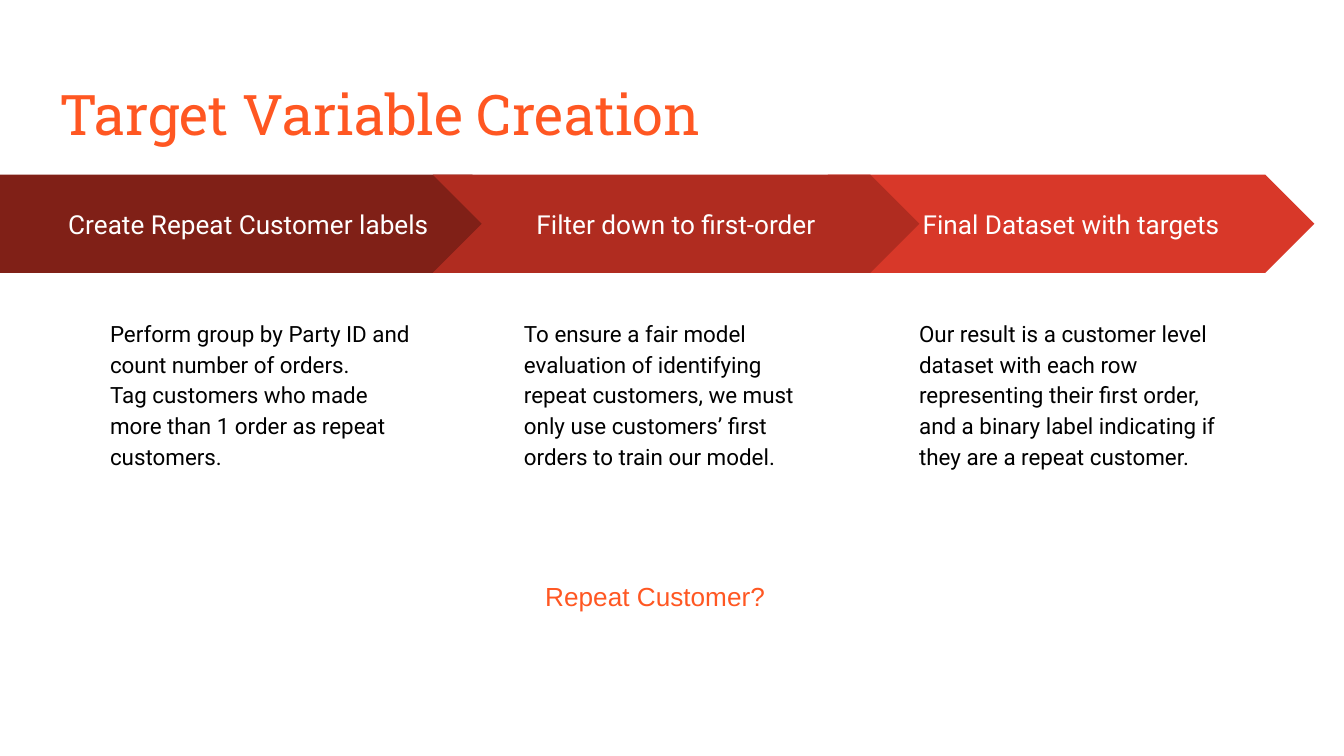
"""Build the slide on target variable creation as a three-step process."""
import dataclasses

import pptx
import pptx.dml.color
import pptx.enum.shapes
import pptx.enum.text
import pptx.util

Inches = pptx.util.Inches
SHAPE = pptx.enum.shapes.MSO_SHAPE
ALIGN = pptx.enum.text.PP_ALIGN
ANCHOR = pptx.enum.text.MSO_ANCHOR


@dataclasses.dataclass(frozen=True)
class Style:
    font: str
    size: int
    color: str


@dataclasses.dataclass(frozen=True)
class Theme:
    title: Style = Style("Roboto Slab", 30, "FF5722")
    step: Style = Style("Roboto", 14, "FFFFFF")
    body: Style = Style("Roboto", 12, "000000")
    question: Style = Style("Arial", 14, "FF5722")
    fills: tuple = ("802017", "B02C20", "D83829")


THEME = Theme()
STEP_TOP, STEP_WIDTH, STEP_HEIGHT = 1.3, 3.62, 0.73
BODY_TOP, BODY_WIDTH, BODY_HEIGHT = 2.25, 2.45, 2.86
SECOND_LEFT, STEP_PITCH, BODY_INDENT = 3.22, 2.94, 0.58
STEPS = (
    ("Create Repeat Customer labels",
     ("Perform group by Party ID and count number of orders.",
      "Tag customers who made more than 1 order as repeat customers.")),
    ("Filter down to first-order",
     ("To ensure a fair model evaluation of identifying repeat customers, "
      "we must only use customers’ first orders to train our model.",)),
    ("Final Dataset with targets",
     ("Our result is a customer level dataset with each row representing "
      "their first order, and a binary label indicating if they are a "
      "repeat customer.",)),
)


def rgb(value):
    return pptx.dml.color.RGBColor.from_string(value)


def write(tf, paragraphs, style, align=ALIGN.LEFT, anchor=ANCHOR.TOP,
          inset=0.1, spacing=None):
    tf.word_wrap = True
    tf.auto_size = pptx.enum.text.MSO_AUTO_SIZE.NONE
    tf.vertical_anchor = anchor
    tf.margin_left = tf.margin_right = Inches(0.1)
    tf.margin_top = tf.margin_bottom = Inches(inset)
    for i, text in enumerate(paragraphs):
        p = tf.add_paragraph() if i else tf.paragraphs[0]
        p.alignment = align
        if spacing:
            p.line_spacing = spacing
        r = p.add_run()
        r.text = text
        r.font.name = style.font
        r.font.size = pptx.util.Pt(style.size)
        r.font.color.rgb = rgb(style.color)


def add_title(s, text):
    sp = s.shapes.title
    sp.left, sp.top = Inches(0.34), Inches(0.49)
    sp.width, sp.height = Inches(9.32), Inches(0.63)
    write(sp.text_frame, [text], THEME.title)


def add_text(shapes, box, paragraphs, style, **options):
    sp = shapes.add_textbox(*map(Inches, box))
    write(sp.text_frame, paragraphs, style, **options)


def add_arrow(shapes, kind, box, text, fill):
    sp = shapes.add_shape(kind, *map(Inches, box))
    sp.adjustments[0] = 0.5
    sp.shadow.inherit = False
    sp.fill.solid()
    sp.fill.fore_color.rgb = rgb(fill)
    sp.line.fill.background()
    write(sp.text_frame, [text], THEME.step, ALIGN.CENTER, ANCHOR.MIDDLE)


def add_step(s, index):
    label, paragraphs = STEPS[index]
    shapes = s.shapes.add_group_shape().shapes
    if index == 0:
        kind, left, width, body_left = SHAPE.PENTAGON, 0, 3.88, 0.72
    else:
        kind, width = SHAPE.CHEVRON, STEP_WIDTH
        left = SECOND_LEFT + (index - 1) * STEP_PITCH
        body_left = left + BODY_INDENT
    add_arrow(shapes, kind, (left, STEP_TOP, width, STEP_HEIGHT), label,
              THEME.fills[index])
    add_text(shapes, (body_left, BODY_TOP, BODY_WIDTH, BODY_HEIGHT),
             paragraphs, THEME.body, spacing=1.15)


def main():
    prs = pptx.Presentation()
    prs.slide_width = Inches(10)
    prs.slide_height = prs.slide_width * 9 // 16
    s = prs.slides.add_slide(prs.slide_layouts[5])
    add_title(s, "Target Variable Creation")
    for index in (2, 0, 1):
        add_step(s, index)
    add_text(s.shapes, (0.89, 4.27, 7.97, 0.73), ["Repeat Customer?"],
             THEME.question, align=ALIGN.CENTER, inset=0.05)
    prs.save("out.pptx")


if __name__ == "__main__":
    main()
